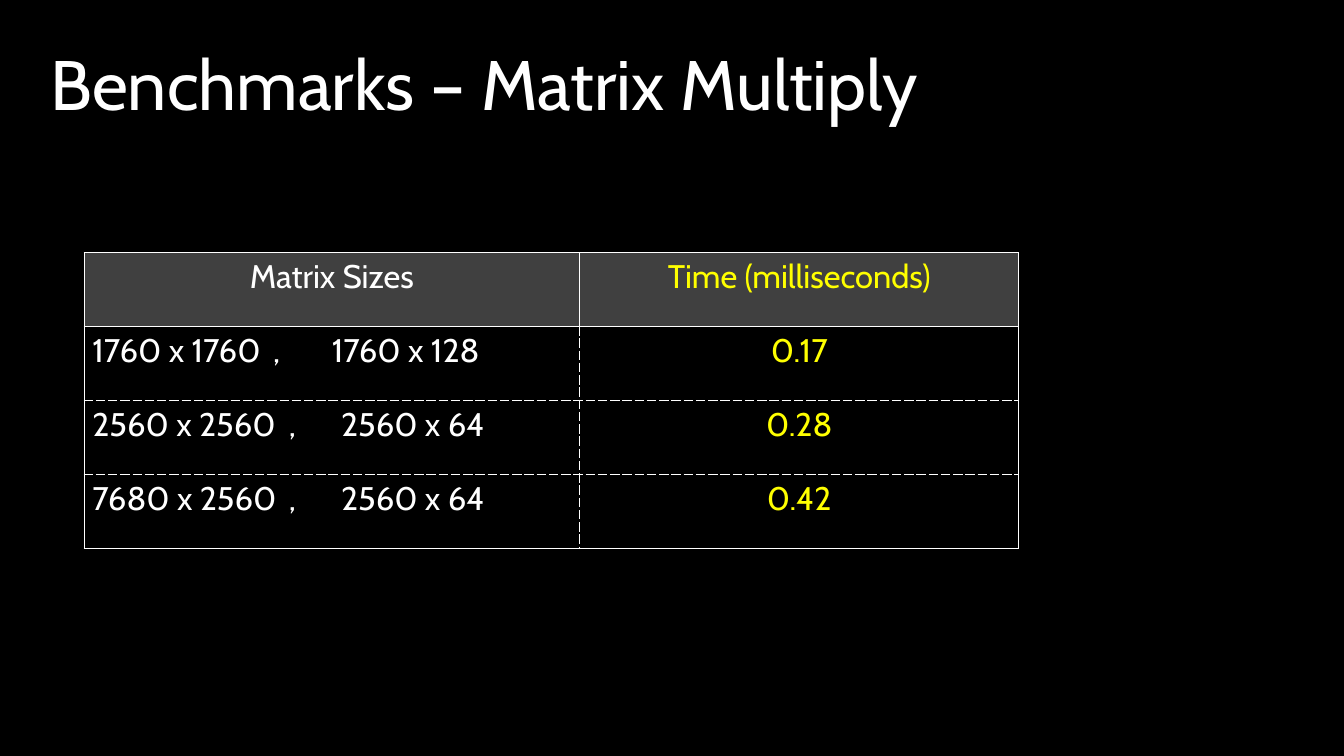
from lxml.etree import SubElement
from pptx import Presentation
from pptx.dml.color import RGBColor
from pptx.enum.text import PP_ALIGN
from pptx.oxml.ns import qn
from pptx.util import Inches, Pt

COLORS = {"background": "000000", "text": "FFFFFF", "time": "FFFF00", "header": "404040"}
FONT = "Cabin"
ROWS = [
    ("Matrix Sizes", "Time (milliseconds)"),
    ("1760 x 1760\t,\t1760 x 128", "0.17"),
    ("2560 x 2560\t,\t2560 x 64", "0.28"),
    ("7680 x 2560\t,\t2560 x 64", "0.42"),
]
TAB_STOPS = [(), (2.15, 2.85), (2.34, 2.96), (2.34, 2.96)]
COLUMN_WIDTHS = (5.9, 5.23)
ROW_HEIGHT = 0.88


def style_runs(paragraph, size, color):
    for run in paragraph.runs:
        run.font.name = FONT
        run.font.size = Pt(size)
        run.font.color.rgb = RGBColor.from_string(COLORS[color])


def add_border(cell, side, dash):
    line = SubElement(cell._tc.get_or_add_tcPr(), qn(f"a:ln{side}"), w=str(Pt(1)))
    fill = SubElement(line, qn("a:solidFill"))
    SubElement(fill, qn("a:srgbClr"), val=COLORS["text"])
    SubElement(line, qn("a:prstDash"), val=dash)


presentation = Presentation()
presentation.slide_width = Inches(16)
presentation.slide_height = Inches(9)
slide = presentation.slides.add_slide(presentation.slide_layouts[6])
slide.background.fill.solid()
slide.background.fill.fore_color.rgb = RGBColor.from_string(COLORS["background"])

title = slide.shapes.add_textbox(Inches(0.5), Inches(0.5), Inches(15), Inches(1.2))
title_frame = title.text_frame
title_frame.word_wrap = True
title_frame.margin_top = title_frame.margin_bottom = Inches(0.1)
title_frame.text = "Benchmarks – Matrix Multiply"
title_frame.paragraphs[0].line_spacing = 0.9
style_runs(title_frame.paragraphs[0], 60, "text")

table = slide.shapes.add_table(
    len(ROWS), len(COLUMN_WIDTHS), Inches(1), Inches(3.01),
    Inches(sum(COLUMN_WIDTHS)), Inches(ROW_HEIGHT * len(ROWS)),
).table
table.first_row = False
table.horz_banding = False
for column, width in zip(table.columns, COLUMN_WIDTHS):
    column.width = Inches(width)

for row_index, texts in enumerate(ROWS):
    table.rows[row_index].height = Inches(ROW_HEIGHT)
    is_header = row_index == 0
    is_last = row_index == len(ROWS) - 1
    for column_index, text in enumerate(texts):
        cell = table.cell(row_index, column_index)
        is_sizes = column_index == 0
        cell.text_frame.text = text
        paragraph = cell.text_frame.paragraphs[0]
        if is_header or not is_sizes:
            paragraph.alignment = PP_ALIGN.CENTER
        else:
            tab_list = SubElement(paragraph._p.get_or_add_pPr(), qn("a:tabLst"))
            for stop in TAB_STOPS[row_index]:
                SubElement(tab_list, qn("a:tab"), pos=str(Inches(stop)), algn="l")
        style_runs(paragraph, 28, "text" if is_sizes else "time")

        solid_sides = {
            "L": is_header or is_sizes,
            "R": is_header or not is_sizes,
            "T": row_index <= 1,
            "B": is_header or is_last,
        }
        for side, is_solid in solid_sides.items():
            add_border(cell, side, "solid" if is_solid else "sysDash")
        if is_header:
            cell.fill.solid()
            cell.fill.fore_color.rgb = RGBColor.from_string(COLORS["header"])
        else:
            cell.fill.background()

presentation.save("out.pptx")
